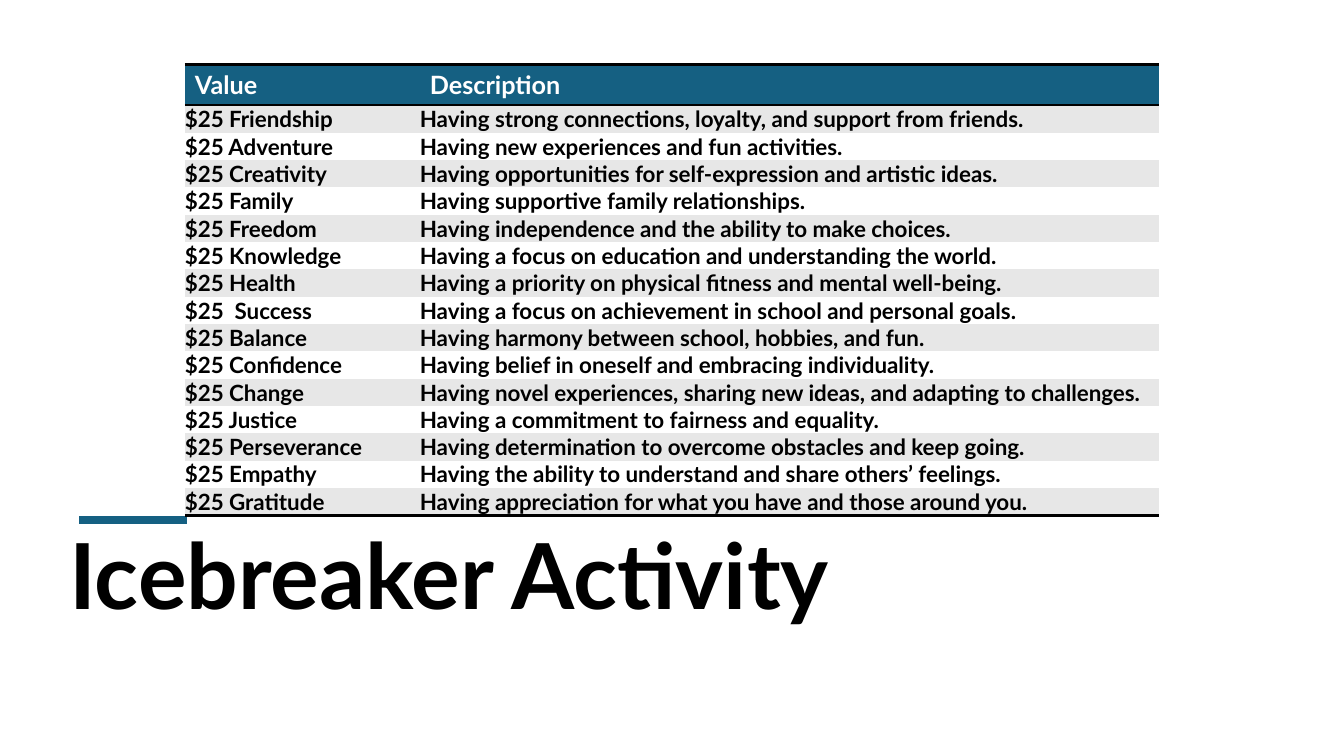
from lxml import etree
from pptx import Presentation
from pptx import util as u
from pptx.dml.color import RGBColor
from pptx.enum import shapes, text
from pptx.oxml.ns import qn

# Content
TITLE = "Icebreaker Activity"
HEAD = ("Value", "Description")
ROWS = [
    ("$25 Friendship", "Having strong connections, loyalty, and support from friends."),
    ("$25 Adventure", "Having new experiences and fun activities."),
    ("$25 Creativity", "Having opportunities for self-expression and artistic ideas."),
    ("$25 Family", "Having supportive family relationships."),
    ("$25 Freedom", "Having independence and the ability to make choices."),
    ("$25 Knowledge", "Having a focus on education and understanding the world."),
    ("$25 Health", "Having a priority on physical fitness and mental well-being."),
    ("$25  Success", "Having a focus on achievement in school and personal goals."),
    ("$25 Balance", "Having harmony between school, hobbies, and fun."),
    ("$25 Confidence", "Having belief in oneself and embracing individuality."),
    ("$25 Change", "Having novel experiences, sharing new ideas, and adapting to challenges."),
    ("$25 Justice", "Having a commitment to fairness and equality."),
    ("$25 Perseverance", "Having determination to overcome obstacles and keep going."),
    ("$25 Empathy", "Having the ability to understand and share others’ feelings."),
    ("$25 Gratitude", "Having appreciation for what you have and those around you."),
]

# Look
FONT = "Lato"
TEAL = RGBColor(0x15, 0x60, 0x82)
GREY = RGBColor(0xE7, 0xE7, 0xE7)
WHITE = RGBColor(0xFF, 0xFF, 0xFF)
BLACK = RGBColor(0, 0, 0)
COLS = (5.92, 18.62)
HEAD_H, ROW_H = 1.02, 0.69
RULE = 2


def write(frame, words, size, color=BLACK):
    run = frame.paragraphs[0].add_run()
    run.text = words
    font = run.font
    font.name, font.size, font.bold = FONT, u.Pt(size), True
    font.color.rgb = color


def edge(cell, sides):
    """Draw black rules on the given sides and clear the others."""
    props = cell._tc.get_or_add_tcPr()
    for side in "LRTB":
        line = etree.SubElement(props, qn("a:ln" + side), w=str(u.Pt(RULE)))
        if side in sides:
            fill = etree.SubElement(line, qn("a:solidFill"))
            etree.SubElement(fill, qn("a:srgbClr"), val=str(BLACK))
        else:
            etree.SubElement(line, qn("a:noFill"))


def paint(cell, color):
    cell.fill.solid()
    cell.fill.fore_color.rgb = color


deck = Presentation()
deck.slide_width, deck.slide_height = u.Cm(33.87), u.Cm(19.05)
slide = deck.slides.add_slide(deck.slide_layouts[6])

# Accent line
accent = slide.shapes.add_connector(
    shapes.MSO_CONNECTOR.STRAIGHT, u.Cm(2), u.Cm(13.11), u.Cm(4.72), u.Cm(13.11))
accent.line.color.rgb = TEAL
accent.line.width = u.Pt(6)
etree.SubElement(accent._element.spPr, qn("a:effectLst"))

# Title
title = slide.shapes.add_textbox(u.Cm(1.5), u.Cm(7.16), u.Cm(25.6), u.Cm(8.79)).text_frame
title.word_wrap = True
title.vertical_anchor = text.MSO_ANCHOR.BOTTOM
write(title, TITLE, 65)

# Table of values
table = slide.shapes.add_table(
    len(ROWS) + 1, len(COLS), u.Cm(4.66), u.Cm(1.63),
    u.Cm(sum(COLS)), u.Cm(HEAD_H + ROW_H * len(ROWS))).table
for col, wide in zip(table.columns, COLS):
    col.width = u.Cm(wide)
for r, row in enumerate([HEAD] + ROWS):
    table.rows[r].height = u.Cm(ROW_H if r else HEAD_H)
    for c, words in enumerate(row):
        cell = table.cell(r, c)
        edge(cell, {0: "TB", 1: "T", len(ROWS): "B"}.get(r, ""))
        if r == 0:
            paint(cell, TEAL)
            write(cell.text_frame, words, 18, WHITE)
            continue
        paint(cell, GREY if r % 2 else WHITE)
        cell.margin_left = cell.margin_right = cell.margin_top = cell.margin_bottom = 0
        low = r < len(ROWS) - 1
        cell.vertical_anchor = text.MSO_ANCHOR.BOTTOM if low else text.MSO_ANCHOR.MIDDLE
        write(cell.text_frame, words, 16)

deck.save("out.pptx")
